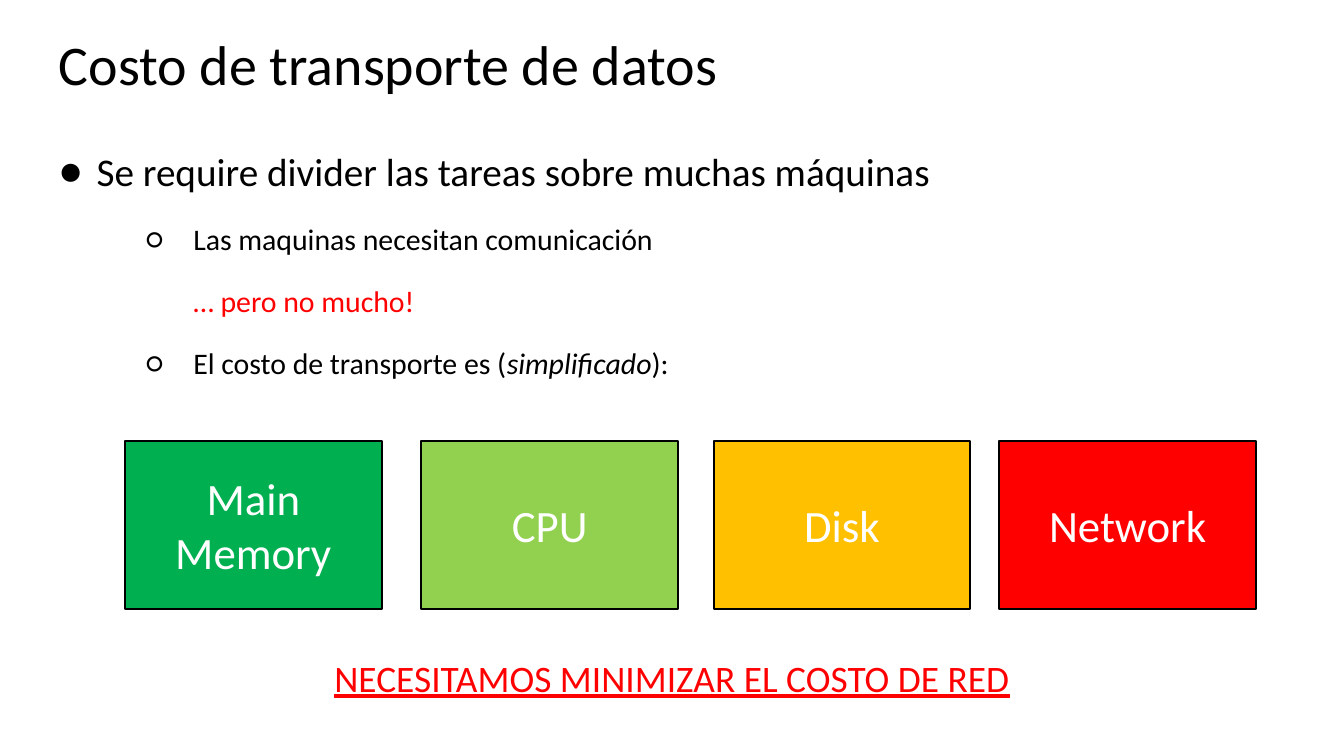
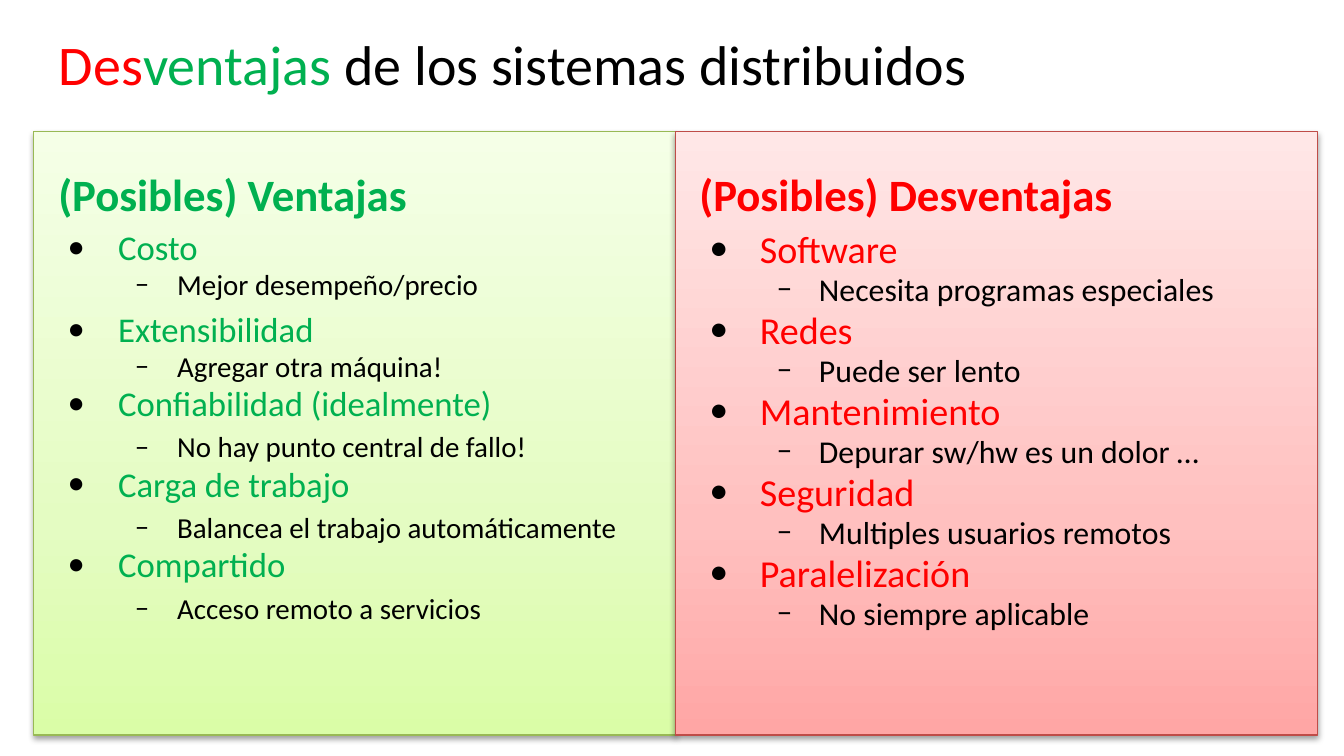
from dataclasses import dataclass
from typing import Optional

from lxml import etree
from pptx import Presentation
from pptx.dml.color import RGBColor
from pptx.enum.shapes import MSO_SHAPE
from pptx.enum.text import MSO_ANCHOR, PP_ALIGN
from pptx.oxml.ns import qn
from pptx.util import Emu, Pt

PROCESS, RECTANGLE = MSO_SHAPE.FLOWCHART_PROCESS, MSO_SHAPE.RECTANGLE
TOP, MIDDLE, BOTTOM = MSO_ANCHOR.TOP, MSO_ANCHOR.MIDDLE, MSO_ANCHOR.BOTTOM
LEFT, CENTER = PP_ALIGN.LEFT, PP_ALIGN.CENTER
EMU_PER_PX = 4572  # 200 px to the inch


@dataclass(frozen=True)
class Theme:
    font: str = "Calibri"
    black: str = "000000"
    white: str = "FFFFFF"
    red: str = "FF0000"
    green: str = "00B050"
    lime: str = "92D050"
    amber: str = "FFC000"
    title: float = 30
    heading: float = 24
    lead: float = 21
    conclusion: float = 20
    detail: float = 16
    space_ratio: float = 0.2


THEME = Theme()


@dataclass(frozen=True)
class Area:
    left: int
    top: int
    width: int
    height: int


@dataclass(frozen=True)
class Span:
    text: str
    color: Optional[str] = None
    italic: bool = False


@dataclass(frozen=True)
class Para:
    spans: tuple[Span, ...]
    size: float
    color: str = THEME.black
    bold: bool = False
    underline: bool = False
    align: PP_ALIGN = LEFT
    spacing: float = 1.0
    before: float = 0
    margin: int = 0
    indent: int = 0
    bullet: str = ""


@dataclass(frozen=True)
class Cost:
    left: int
    lines: tuple[str, ...]
    fill: str


@dataclass(frozen=True)
class Point:
    topic: str
    detail: str
    topic_spacing: float = 0.8
    detail_spacing: float = 0.8


@dataclass(frozen=True)
class Panel:
    left: int
    heading: str
    color: str
    border: str
    stops: tuple[tuple[int, str], ...]
    heading_left: int
    list_area: Area
    topic_size: float
    detail_size: float
    points: tuple[Point, ...]


def px(length: int) -> Emu:
    return Emu(length * EMU_PER_PX)


def place(area: Area) -> tuple[Emu, Emu, Emu, Emu]:
    return px(area.left), px(area.top), px(area.width), px(area.height)


def rgb(color: str) -> RGBColor:
    return RGBColor.from_string(color)


def add_color(parent, color: str):
    return etree.SubElement(parent, qn("a:srgbClr"), val=color)


# Text
def write_para(paragraph, para: Para) -> None:
    properties = paragraph._p.get_or_add_pPr()
    properties.set("marL", str(px(para.margin)))
    properties.set("indent", str(px(para.indent)))
    if para.bullet:
        add_color(etree.SubElement(properties, qn("a:buClr")), THEME.black)
        etree.SubElement(properties, qn("a:buFont"), typeface=THEME.font)
        etree.SubElement(properties, qn("a:buChar"), char=para.bullet)
    paragraph.alignment = para.align
    paragraph.line_spacing = para.spacing
    paragraph.space_before = Pt(para.before)
    font = paragraph.font
    font.name, font.size = THEME.font, Pt(para.size)
    font.bold, font.underline = para.bold, para.underline
    font.color.rgb = rgb(para.color)
    for span in para.spans:
        run = paragraph.add_run()
        run.text = span.text
        if span.color:
            run.font.color.rgb = rgb(span.color)
        if span.italic:
            run.font.italic = True


def write(frame, paras: list[Para], anchor: MSO_ANCHOR) -> None:
    frame.word_wrap = True
    frame.vertical_anchor = anchor
    for index, para in enumerate(paras):
        paragraph = frame.add_paragraph() if index else frame.paragraphs[0]
        write_para(paragraph, para)


def add_text(page, area: Area, paras: list[Para], anchor: MSO_ANCHOR = TOP, inset: int = 10) -> None:
    frame = page.shapes.add_textbox(*place(area)).text_frame
    frame.margin_top = frame.margin_bottom = px(inset)
    frame.margin_left = frame.margin_right = px(20)
    write(frame, paras, anchor)


def add_page(deck, *title: Span):
    page = deck.slides.add_slide(deck.slide_layouts[6])
    add_text(page, Area(68, 35, 1864, 138), [Para(title, THEME.title, spacing=0.9)], inset=20)
    return page


# Shapes
def add_cost(page, cost: Cost) -> None:
    box = page.shapes.add_shape(PROCESS, *place(Area(cost.left, 656, 382, 250)))
    box.shadow.inherit = False
    box.fill.solid()
    box.fill.fore_color.rgb = rgb(cost.fill)
    box.line.color.rgb = rgb(THEME.black)
    box.line.width = Pt(1)
    paras = [Para((Span(line),), THEME.heading, THEME.white, align=CENTER) for line in cost.lines]
    write(box.text_frame, paras, MIDDLE)


def add_backdrop(page, panel: Panel) -> None:
    box = page.shapes.add_shape(RECTANGLE, *place(Area(panel.left, 196, 956, 898)))
    properties = box._element.spPr
    gradient = etree.Element(qn("a:gradFill"), rotWithShape="1")
    stops = etree.SubElement(gradient, qn("a:gsLst"))
    for percent, color in panel.stops:
        add_color(etree.SubElement(stops, qn("a:gs"), pos=str(percent * 1000)), color)
    etree.SubElement(gradient, qn("a:lin"), ang=str(270 * 60000), scaled="0")
    properties.find(qn("a:prstGeom")).addnext(gradient)
    box.line.color.rgb = rgb(panel.border)
    box.line.width = Pt(0.75)
    box.shadow.inherit = False
    shadow = etree.SubElement(
        properties.find(qn("a:effectLst")), qn("a:outerShdw"),
        blurRad=str(Pt(3.1)), dist=str(Pt(1.6)), dir=str(90 * 60000), rotWithShape="0")
    etree.SubElement(add_color(shadow, THEME.black), qn("a:alpha"), val="38000")


def add_panel(page, panel: Panel) -> None:
    add_backdrop(page, panel)
    heading = Para((Span(panel.heading),), THEME.heading, panel.color, bold=True)
    add_text(page, Area(panel.heading_left, 234, 844, 104), [heading], BOTTOM)
    paras = []
    for point in panel.points:
        before = panel.topic_size * THEME.space_ratio if paras else 0
        paras.append(Para((Span(point.topic),), panel.topic_size, panel.color,
                          spacing=point.topic_spacing, before=before,
                          margin=75, indent=-75, bullet="•"))
        paras.append(Para((Span(point.detail),), panel.detail_size,
                          spacing=point.detail_spacing,
                          before=panel.detail_size * THEME.space_ratio,
                          margin=163, indent=-63, bullet="–"))
    add_text(page, panel.list_area, paras)


# Content
COSTS = (
    Cost(186, ("Main", "Memory"), THEME.green),
    Cost(627, ("CPU",), THEME.lime),
    Cost(1062, ("Disk",), THEME.amber),
    Cost(1487, ("Network",), THEME.red),
)

PANELS = (
    Panel(
        50, "(Posibles) Ventajas", THEME.green, "98B955",
        ((0, "DAFDA7"), (35, "E4FCC2"), (100, "F5FFE7")),
        67, Area(81, 338, 890, 638), 18.6, 15.5,
        (
            Point("Costo", "Mejor desempeño/precio"),
            Point("Extensibilidad", "Agregar otra máquina!", topic_spacing=1.0),
            Point("Confiabilidad (idealmente)", "No hay punto central de fallo!", detail_spacing=1.0),
            Point("Carga de trabajo", "Balancea el trabajo automáticamente", detail_spacing=1.0),
            Point("Compartido", "Acceso remoto a servicios", detail_spacing=1.0),
        ),
    ),
    Panel(
        1005, "(Posibles) Desventajas", THEME.red, "BF4C48",
        ((0, "FFA6A5"), (35, "FFC0BF"), (100, "FFE7E7")),
        1021, Area(1036, 338, 844, 638), 20.4, 17,
        (
            Point("Software", "Necesita programas especiales"),
            Point("Redes", "Puede ser lento"),
            Point("Mantenimiento", "Depurar sw/hw es un dolor …"),
            Point("Seguridad", "Multiples usuarios remotos"),
            Point("Paralelización", "No siempre aplicable"),
        ),
    ),
)


def detail_para(*spans: Span, color: str = THEME.black, bullet: str = "○") -> Para:
    return Para(spans, THEME.detail, color, spacing=0.9, before=16, margin=200,
                indent=-70 if bullet else 0, bullet=bullet)


# Slides
def build_transport_cost(deck) -> None:
    page = add_page(deck, Span("Costo de transporte de datos"))
    add_text(page, Area(68, 186, 1864, 450), [
        Para((Span("Se require divider las tareas sobre muchas máquinas"),), THEME.lead,
             spacing=1.2, margin=56, indent=-56, bullet="●"),
        detail_para(Span("Las maquinas necesitan comunicación")),
        detail_para(Span("… pero no mucho!"), color=THEME.red, bullet=""),
        detail_para(Span("El costo de transporte es ("), Span("simplificado", italic=True), Span("):")),
    ], inset=20)
    for cost in COSTS:
        add_cost(page, cost)
    conclusion = Para((Span("NECESITAMOS MINIMIZAR EL COSTO DE RED"),), THEME.conclusion,
                      THEME.red, underline=True, align=CENTER, spacing=1.2)
    add_text(page, Area(68, 941, 1864, 122), [conclusion], inset=20)


def build_trade_offs(deck) -> None:
    page = add_page(deck, Span("Des", THEME.red), Span("ventajas", THEME.green),
                    Span(" de los sistemas distribuidos"))
    for panel in PANELS:
        add_panel(page, panel)


def main() -> None:
    deck = Presentation()
    deck.slide_width, deck.slide_height = px(2000), px(1125)
    build_transport_cost(deck)
    build_trade_offs(deck)
    deck.save("out.pptx")


if __name__ == "__main__":
    main()
